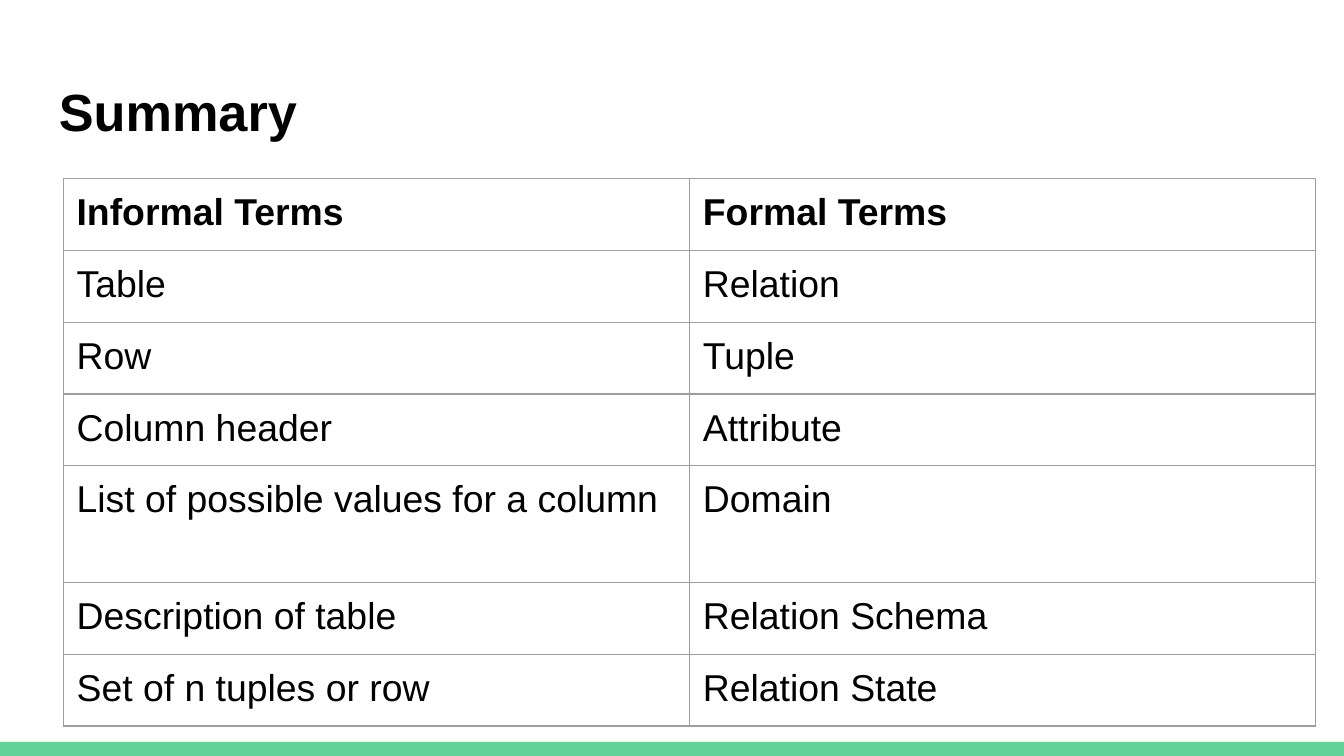
from copy import deepcopy

from lxml import etree
from pptx import Presentation
from pptx.dml.color import RGBColor
from pptx.enum.shapes import MSO_SHAPE
from pptx.enum.text import MSO_ANCHOR
from pptx.oxml.ns import qn
from pptx.util import Pt

PX = 4572
RECTANGLE = MSO_SHAPE.RECTANGLE
TOP = MSO_ANCHOR.TOP
FONT = "Arial"
COLORS = {"background": "FFFFFF", "footer": "63D297", "text": "000000", "border": "9E9E9E"}
TERMS = [
    ("Informal Terms", "Formal Terms"),
    ("Table", "Relation"),
    ("Row", "Tuple"),
    ("Column header", "Attribute"),
    ("List of possible values for a column", "Domain"),
    ("Description of table", "Relation Schema"),
    ("Set of n tuples or row", "Relation State"),
]
INSET = 20
ROW_HEIGHT = 84
DOMAIN_ROW, DOMAIN_HEIGHT = 4, 174


def color(name):
    """Return the named colour."""
    return RGBColor.from_string(COLORS[name])


def emu(box):
    """Turn a box in px into EMU."""
    return [length * PX for length in box]


def set_insets(holder):
    """Give a cell or text frame the same inset on all sides."""
    holder.margin_left = holder.margin_right = INSET * PX
    holder.margin_top = holder.margin_bottom = INSET * PX
    holder.vertical_anchor = TOP


def style_text(frame, size, bold):
    """Format the runs of a text frame and the ends of its paragraphs."""
    for paragraph in frame.paragraphs:
        for run in paragraph.runs:
            run.font.name = FONT
            run.font.size = Pt(size)
            run.font.bold = bold
            run.font.color.rgb = color("text")
        ending = etree.SubElement(paragraph._p, qn("a:endParaRPr"), sz=str(size * 100))
        for part in paragraph.runs[-1]._r.rPr:
            ending.append(deepcopy(part))


def add_border(cell):
    """Draw a thin line on all four sides of a cell."""
    properties = cell._tc.get_or_add_tcPr()
    for index, side in enumerate(("a:lnL", "a:lnR", "a:lnT", "a:lnB")):
        line = etree.Element(qn(side), w=str(Pt(0.75)))
        fill = etree.SubElement(line, qn("a:solidFill"))
        etree.SubElement(fill, qn("a:srgbClr"), val=COLORS["border"])
        properties.insert(index, line)


def add_footer(slide, box):
    """Place the coloured strip along the bottom edge."""
    strip = slide.shapes.add_shape(RECTANGLE, *emu(box))
    strip.shadow.inherit = False
    strip.fill.solid()
    strip.fill.fore_color.rgb = color("footer")
    strip.line.fill.background()


def add_title(slide, box):
    """Place the heading."""
    frame = slide.shapes.add_textbox(*emu(box)).text_frame
    frame.word_wrap = True
    set_insets(frame)
    frame.text = "Summary"
    style_text(frame, 28, True)


def add_terms(slide, box):
    """Place the table that pairs informal with formal terms."""
    holder = slide.shapes.add_table(len(TERMS), len(TERMS[0]), *emu(box))
    table = holder.table
    table.horz_banding = False
    for row_index, pair in enumerate(TERMS):
        height = DOMAIN_HEIGHT if row_index == DOMAIN_ROW else ROW_HEIGHT
        table.rows[row_index].height = height * PX
        for column_index, term in enumerate(pair):
            cell = table.cell(row_index, column_index)
            set_insets(cell)
            cell.fill.background()
            add_border(cell)
            cell.text_frame.text = term
            style_text(cell.text_frame, 20, row_index == 0)
    holder.height = box[3] * PX


def main():
    """Build and save the summary slide."""
    presentation = Presentation()
    presentation.slide_width, presentation.slide_height = emu((2000, 1125))
    slide = presentation.slides.add_slide(presentation.slide_layouts[6])
    slide.background.fill.solid()
    slide.background.fill.fore_color.rgb = color("background")
    add_footer(slide, (0, 1104, 2000, 21))
    add_title(slide, (68, 98, 1864, 126))
    add_terms(slide, (94, 266, 1864, 814))
    presentation.save("out.pptx")


if __name__ == "__main__":
    main()
